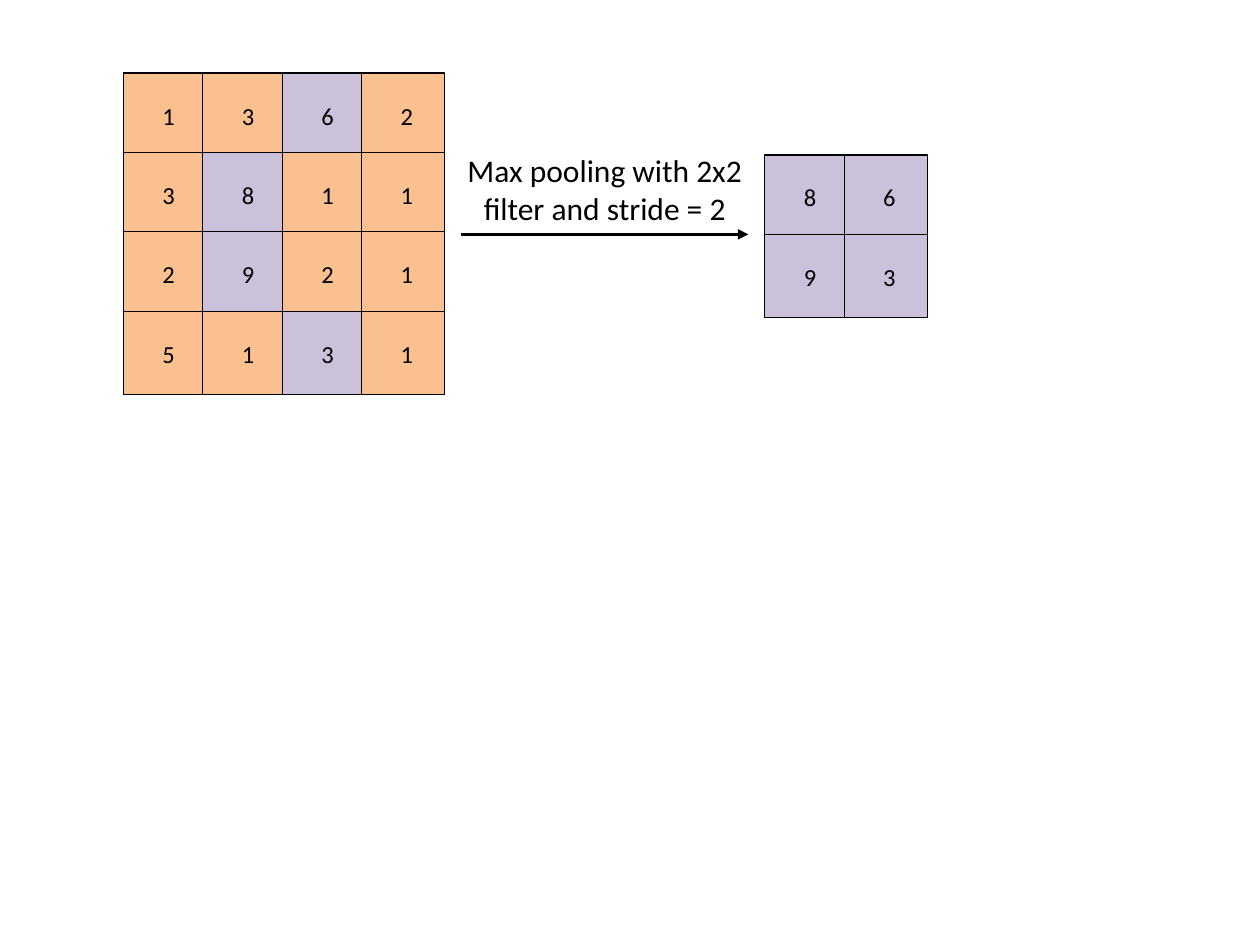
from lxml.etree import SubElement
from pptx import Presentation
from pptx.dml.color import RGBColor
from pptx.enum.shapes import MSO_CONNECTOR, MSO_SHAPE
from pptx.enum.text import MSO_ANCHOR, MSO_AUTO_SIZE, PP_ALIGN
from pptx.oxml.ns import qn
from pptx.util import Pt

EMU_PER_PX = 9144
CELL = 66
PITCH = 63
STRIDE = 2
ORANGE = "FAC090"
PURPLE = "CCC1DA"
BLACK = "000000"
INPUT = [
    [1, 3, 6, 2],
    [3, 8, 1, 1],
    [2, 9, 2, 1],
    [5, 1, 3, 1],
]


def px(n):
    return n * EMU_PER_PX


def rgb(color):
    return RGBColor.from_string(color)


def max_pool(grid):
    steps = range(0, len(grid), STRIDE)
    return [
        [max(v for row in grid[r:r + STRIDE] for v in row[c:c + STRIDE]) for c in steps]
        for r in steps
    ]


def write_text(tf, text, size):
    tf.word_wrap = True
    tf.text = text
    p = tf.paragraphs[0]
    p.alignment = PP_ALIGN.CENTER
    font = p.runs[0].font
    font.name = "Calibri"
    font.size = Pt(size)
    font.color.rgb = rgb(BLACK)


def add_cell(s, x, y, value, fill):
    sp = s.shapes.add_shape(MSO_SHAPE.RECTANGLE, px(x), px(y), px(CELL), px(CELL))
    sp.shadow.inherit = False
    sp.fill.solid()
    sp.fill.fore_color.rgb = rgb(fill)
    sp.line.color.rgb = rgb(BLACK)
    sp.line.width = Pt(0)
    tf = sp.text_frame
    tf.vertical_anchor = MSO_ANCHOR.MIDDLE
    tf.margin_left = tf.margin_right = px(31)
    tf.margin_top = px(6)
    tf.margin_bottom = px(5)
    write_text(tf, str(value), 14)


def add_grid(s, x, y, grid, fill_at):
    for r, row in enumerate(grid):
        for c, value in enumerate(row):
            add_cell(s, x + c * PITCH, y + r * PITCH, value, fill_at(r, c))


def add_arrow(s, x1, x2, y):
    cx = s.shapes.add_connector(MSO_CONNECTOR.STRAIGHT, px(x1), px(y), px(x2), px(y))
    cx.line.color.rgb = rgb(BLACK)
    cx.line.width = Pt(2)
    SubElement(cx.line._get_or_add_ln(), qn("a:tailEnd"), type="triangle")
    SubElement(cx._element.spPr, qn("a:effectLst"))


def add_label(s, x, y, w, h, text):
    tf = s.shapes.add_textbox(px(x), px(y), px(w), px(h)).text_frame
    write_text(tf, text, 18)
    tf.auto_size = MSO_AUTO_SIZE.SHAPE_TO_FIT_TEXT


def main():
    prs = Presentation()
    prs.slide_width = px(1000)
    prs.slide_height = px(750)
    s = prs.slides.add_slide(prs.slide_layouts[6])

    pooled = max_pool(INPUT)

    def input_fill(r, c):
        return PURPLE if INPUT[r][c] == pooled[r // STRIDE][c // STRIDE] else ORANGE

    add_grid(s, 98, 58, INPUT, input_fill)
    add_grid(s, 607, 123, pooled, lambda r, c: PURPLE)
    add_arrow(s, 366, 594, 186)
    add_label(s, 358, 115, 244, 71, "Max pooling with 2x2 filter and stride = 2")
    prs.save("out.pptx")


if __name__ == "__main__":
    main()
